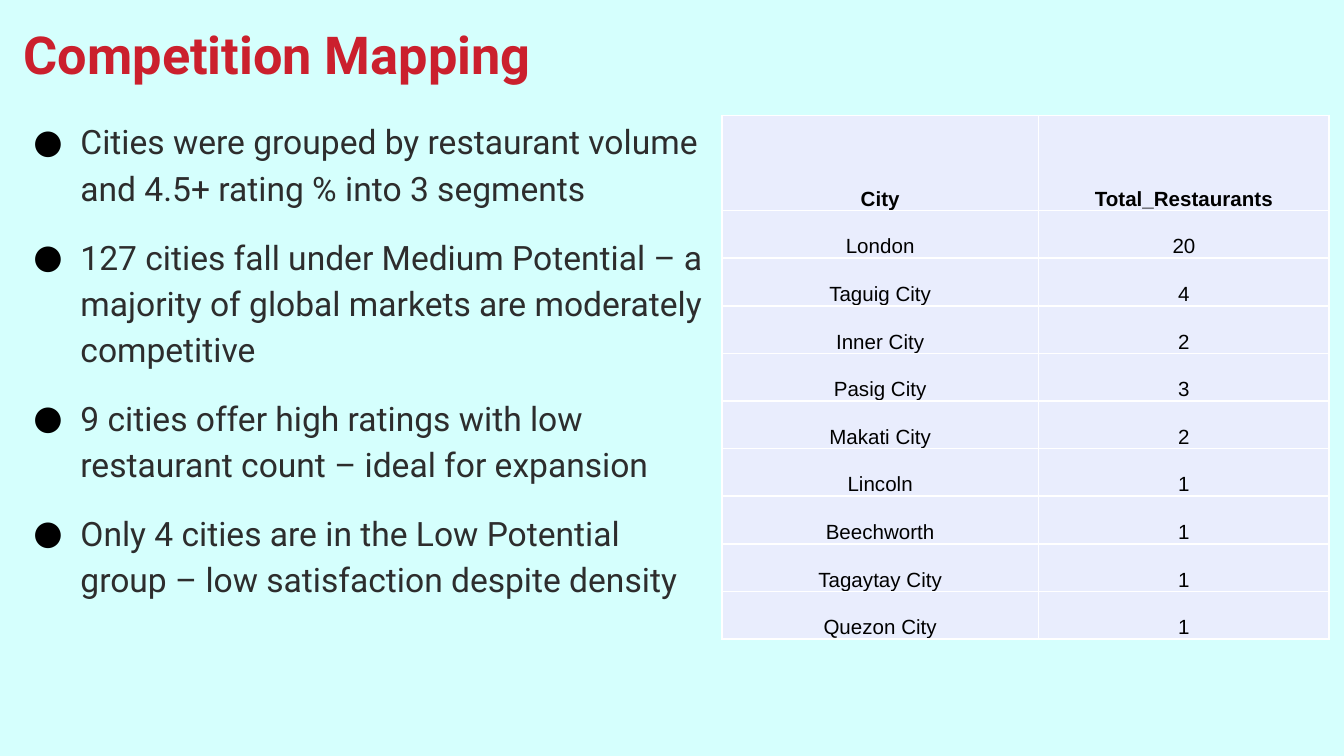
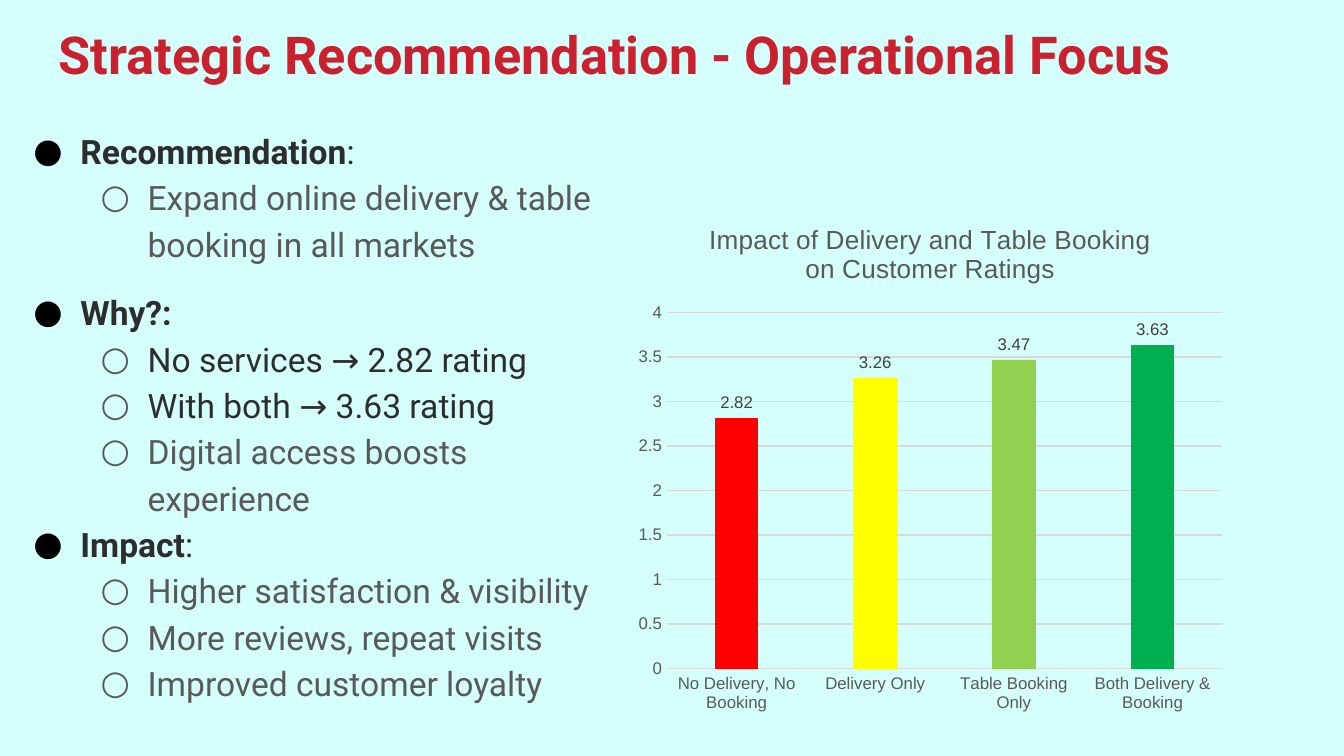
from lxml import etree
from pptx import Presentation, util as u
from pptx.chart.data import CategoryChartData
from pptx.dml.color import RGBColor
from pptx.enum import chart as charts, text
from pptx.oxml import parse_xml
from pptx.oxml.ns import qn, nsdecls

COLORS = {
    "background": "D5FFFD", "title": "CB202D", "dark": "2D2D2D", "gray": "595959",
    "black": "000000", "cell": "E9EDFD", "border": "FFFFFF", "grid": "D9D9D9",
    "label": "404040", "red": "FF0000", "yellow": "FFFF00", "lime": "92D050", "green": "00B050",
}
BULLETS = [("●", "black", 1.27), ("○", "gray", 2.54)]  # sign, colour, indent in cm


def style(font, size, color, name="Roboto", bold=False):
    font.size, font.name, font.bold = u.Pt(size), name, bold
    font.color.rgb = RGBColor.from_string(COLORS[color])


def add_text_slide(title, title_box, body_box, items):
    """Add a slide with a title and a list of (level, text, colour, bold, tail, space before)."""
    slide = presentation.slides.add_slide(presentation.slide_layouts[1])
    body = slide.placeholders[1]
    for shape, box in ((slide.shapes.title, title_box), (body, body_box)):
        shape.left, shape.top, shape.width, shape.height = map(u.Cm, box)
        frame = shape.text_frame
        frame.margin_left = frame.margin_right = frame.margin_top = frame.margin_bottom = u.Cm(0.25)
        frame.vertical_anchor = text.MSO_ANCHOR.TOP
        frame.auto_size = text.MSO_AUTO_SIZE.NONE
        frame.word_wrap = True

    slide.shapes.title.text_frame.text = title
    paragraph = slide.shapes.title.text_frame.paragraphs[0]
    paragraph.alignment = text.PP_ALIGN.LEFT
    paragraph.line_spacing = 1.15
    paragraph.space_before = paragraph.space_after = u.Pt(12)
    style(paragraph.runs[0].font, 28, "title", bold=True)

    body.text_frame.text = "\n".join(item[1] for item in items)
    for paragraph, (level, _, color, bold, tail, before) in zip(body.text_frame.paragraphs, items):
        paragraph.level = level
        paragraph.line_spacing = 1.15
        paragraph.space_before, paragraph.space_after = u.Pt(before), u.Pt(0)
        style(paragraph.runs[0].font, 18, color, bold=bold)
        if tail:
            run = paragraph.add_run()
            run.text = tail
            style(run.font, 18, color)
        sign, sign_color, indent = BULLETS[level]
        properties = paragraph._p.get_or_add_pPr()
        properties.set("marL", str(u.Cm(indent)))
        properties.set("indent", str(u.Cm(-0.89)))
        bullet_color = etree.SubElement(properties, qn("a:buClr"))
        etree.SubElement(bullet_color, qn("a:srgbClr"), val=COLORS[sign_color])
        etree.SubElement(properties, qn("a:buFont"), typeface="Roboto")
        etree.SubElement(properties, qn("a:buChar"), char=sign)
    return slide


presentation = Presentation()
presentation.slide_width, presentation.slide_height = u.Cm(25.4), u.Cm(14.29)
background = presentation.slide_master.background.fill
background.solid()
background.fore_color.rgb = RGBColor.from_string(COLORS["background"])

# Slide 1: findings and city table
findings = [
    "Cities were grouped by restaurant volume and 4.5+ rating % into 3 segments",
    "127 cities fall under Medium Potential – a majority of global markets are moderately competitive",
    "9 cities offer high ratings with low restaurant count – ideal for expansion",
    "Only 4 cities are in the Low Potential group – low satisfaction despite density",
]
slide = add_text_slide("Competition Mapping", (0.2, 0, 23.67, 1.17), (0, 1.93, 13.64, 12.37),
                       [(0, finding, "dark", False, "", 12) for finding in findings])

cities = [
    ("City", "Total_Restaurants"), ("London", 20), ("Taguig City", 4), ("Inner City", 2),
    ("Pasig City", 3), ("Makati City", 2), ("Lincoln", 1), ("Beechworth", 1),
    ("Tagaytay City", 1), ("Quezon City", 1),
]
table = slide.shapes.add_table(len(cities), 2, u.Cm(13.64), u.Cm(2.18), u.Cm(11.48), u.Cm(9.9)).table
table.columns[0].width, table.columns[1].width = u.Cm(5.99), u.Cm(5.49)
for row_index, values in enumerate(cities):
    table.rows[row_index].height = u.Cm(0.9 if row_index else 1.8)
    for column_index, value in enumerate(values):
        cell = table.cell(row_index, column_index)
        cell.text_frame.text = str(value)
        cell.vertical_anchor = text.MSO_ANCHOR.BOTTOM
        cell.margin_left = cell.margin_right = cell.margin_top = u.Cm(0.03)
        cell.margin_bottom = 0
        paragraph = cell.text_frame.paragraphs[0]
        paragraph.alignment = text.PP_ALIGN.CENTER
        style(paragraph.runs[0].font, 11, "black", "Arial", bold=row_index == 0)
        for side in ("lnL", "lnR", "lnT", "lnB"):
            cell._tc.get_or_add_tcPr().append(parse_xml(
                f'<a:{side} {nsdecls("a")} w="{u.Pt(1)}"><a:solidFill>'
                f'<a:srgbClr val="{COLORS["border"]}"/></a:solidFill></a:{side}>'))
        cell.fill.solid()
        cell.fill.fore_color.rgb = RGBColor.from_string(COLORS["cell"])

# Slide 2: recommendation and ratings chart
slide = add_text_slide(
    "Strategic Recommendation - Operational Focus", (0.86, 0, 23.67, 1.6), (0, 2.11, 11.84, 13.23),
    [
        (0, "Recommendation", "dark", True, ":", 12),
        (1, "Expand online delivery & table booking in all markets", "gray", False, "", 0),
        (0, "Why?:", "dark", True, "", 12),
        (1, "No services → 2.82 rating", "dark", False, "", 0),
        (1, "With both → 3.63 rating", "dark", False, "", 0),
        (1, "Digital access boosts experience", "gray", False, "", 0),
        (0, "Impact", "dark", True, ":", 0),
        (1, "Higher satisfaction & visibility", "gray", False, "", 0),
        (1, "More reviews, repeat visits", "gray", False, "", 0),
        (1, "Improved customer loyalty", "gray", False, "", 0),
    ])

data = CategoryChartData()
data.categories = ["No Delivery, No Booking", "Delivery Only", "Table Booking Only",
                   "Both Delivery & Booking"]
data.add_series("Series 1", (2.82, 3.26, 3.47, 3.63))
chart = slide.shapes.add_chart(charts.XL_CHART_TYPE.COLUMN_CLUSTERED, u.Cm(11.84), u.Cm(3.78),
                               u.Cm(11.48), u.Cm(9.9), data).chart
style(chart.font, 10, "black", "Arial")
chart.has_legend = False
chart.has_title = True
chart.chart_title.include_in_layout = False
chart.chart_title.text_frame.text = "Impact of Delivery and Table Booking on Customer Ratings"
style(chart.chart_title.text_frame.paragraphs[0].runs[0].font, 14, "gray", "Arial")

# Axes
for axis in (chart.category_axis, chart.value_axis):
    axis.major_tick_mark = axis.minor_tick_mark = charts.XL_TICK_MARK.NONE
    style(axis.tick_labels.font, 9, "gray", "Arial")
chart.value_axis.minimum_scale, chart.value_axis.maximum_scale = 0, 4
chart.value_axis.major_unit = 0.5
chart.value_axis.format.line.fill.background()
for line in (chart.category_axis.format.line, chart.value_axis.major_gridlines.format.line):
    line.width = u.Pt(0.75)
    line.color.rgb = RGBColor.from_string(COLORS["grid"])

# Columns and their labels
plot = chart.plots[0]
plot.gap_width, plot.overlap = 219, -27
plot.vary_by_categories = False
series = plot.series[0]
for index, color in enumerate(("red", "yellow", "lime", "green")):
    fill = series.points[index].format.fill
    fill.solid()
    fill.fore_color.rgb = RGBColor.from_string(COLORS[color])
labels = series.data_labels
labels.show_value = True
labels.position = charts.XL_LABEL_POSITION.OUTSIDE_END
style(labels.font, 9, "label", "Arial")

presentation.save("out.pptx")
